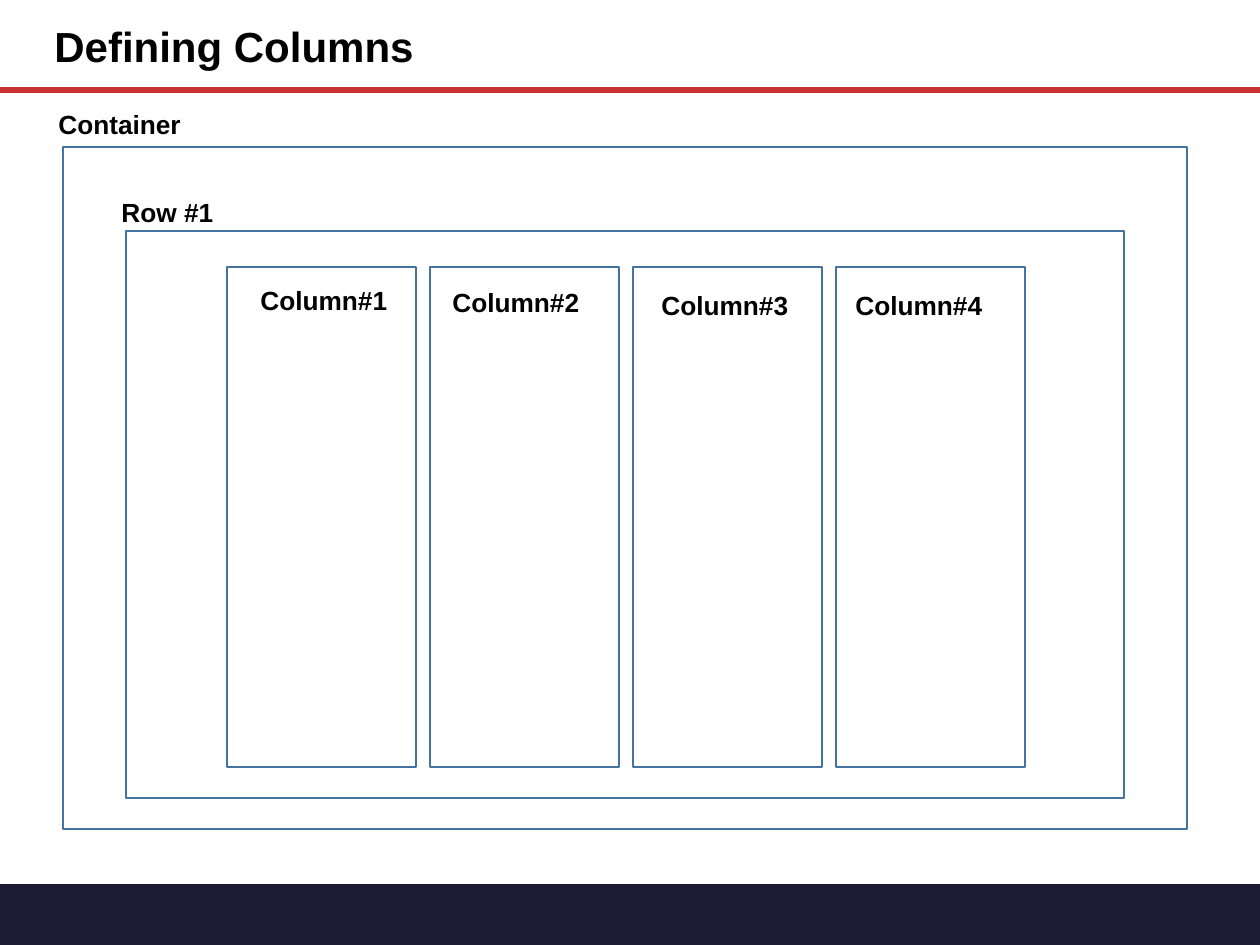
import pptx
import pptx.dml.color
import pptx.enum.shapes
import pptx.enum.text
import pptx.oxml.ns
import pptx.util
from lxml import etree

PX_PER_INCH = 126
SLIDE_WIDTH, SLIDE_HEIGHT = 1260, 945
BLACK = pptx.dml.color.RGBColor(0x00, 0x00, 0x00)
NAVY = pptx.dml.color.RGBColor(0x1D, 0x1A, 0x36)
RED = pptx.dml.color.RGBColor(0xC8, 0x32, 0x32)
STEEL = pptx.dml.color.RGBColor(0x43, 0x73, 0x9E)

COLUMN_LEFT, COLUMN_STEP = 227, 203
COLUMN_LABELS = [
    ("Column#1", 248, 278),
    ("Column#2", 440, 280),
    ("Column#3", 649, 283),
    ("Column#4", 843, 283),
]


def px(length):
    return pptx.util.Emu(round(length * 914400 / PX_PER_INCH))


def set_format(target, values):
    for name, value in values.items():
        setattr(target, name, value)


def add_footer(slide, left, top, width, height):
    footer = slide.shapes.add_shape(
        pptx.enum.shapes.MSO_SHAPE.FLOWCHART_PROCESS,
        px(left), px(top), px(width), px(height))
    footer.shadow.inherit = False
    footer.fill.solid()
    footer.fill.fore_color.rgb = NAVY
    footer.line.fill.background()


def add_rule(slide, top):
    rule = slide.shapes.add_connector(
        pptx.enum.shapes.MSO_CONNECTOR.STRAIGHT,
        px(0), px(top), px(SLIDE_WIDTH), px(top))
    rule.line.color.rgb = RED
    rule.line.width = pptx.util.Pt(3.25)
    etree.SubElement(rule._element.spPr, pptx.oxml.ns.qn("a:effectLst"))


def add_frame(slide, left, top, width, height):
    frame = slide.shapes.add_shape(
        pptx.enum.shapes.MSO_SHAPE.RECTANGLE,
        px(left), px(top), px(width), px(height))
    frame.shadow.inherit = False
    frame.fill.background()
    frame.line.color.rgb = STEEL
    frame.line.width = pptx.util.Pt(1)


def add_label(slide, wording, left, top, width, height=44, size=15):
    label = slide.shapes.add_textbox(px(left), px(top), px(width), px(height))
    set_format(label.text_frame, {
        "word_wrap": True,
        "auto_size": pptx.enum.text.MSO_AUTO_SIZE.SHAPE_TO_FIT_TEXT,
    })
    run = label.text_frame.paragraphs[0].add_run()
    run.text = wording
    set_format(run.font, {
        "name": "Arial", "size": pptx.util.Pt(size), "bold": True})
    run.font.color.rgb = BLACK


def main():
    deck = pptx.Presentation()
    set_format(deck, {
        "slide_width": px(SLIDE_WIDTH), "slide_height": px(SLIDE_HEIGHT)})
    slide = deck.slides.add_slide(deck.slide_layouts[6])

    add_footer(slide, 0, 884, SLIDE_WIDTH, 61)
    add_rule(slide, 90)
    add_label(slide, "Defining Columns", 42, 14, 703, height=63, size=24)

    add_frame(slide, 63, 147, 1124, 682)
    add_frame(slide, 126, 231, 998, 567)
    add_label(slide, "Container", 46, 102, 703)
    add_label(slide, "Row #1", 109, 190, 703)

    for index, (wording, left, top) in enumerate(COLUMN_LABELS):
        add_frame(slide, COLUMN_LEFT + index * COLUMN_STEP, 267, 189, 500)
        add_label(slide, wording, left, top, 156)

    deck.save("out.pptx")


if __name__ == "__main__":
    main()
